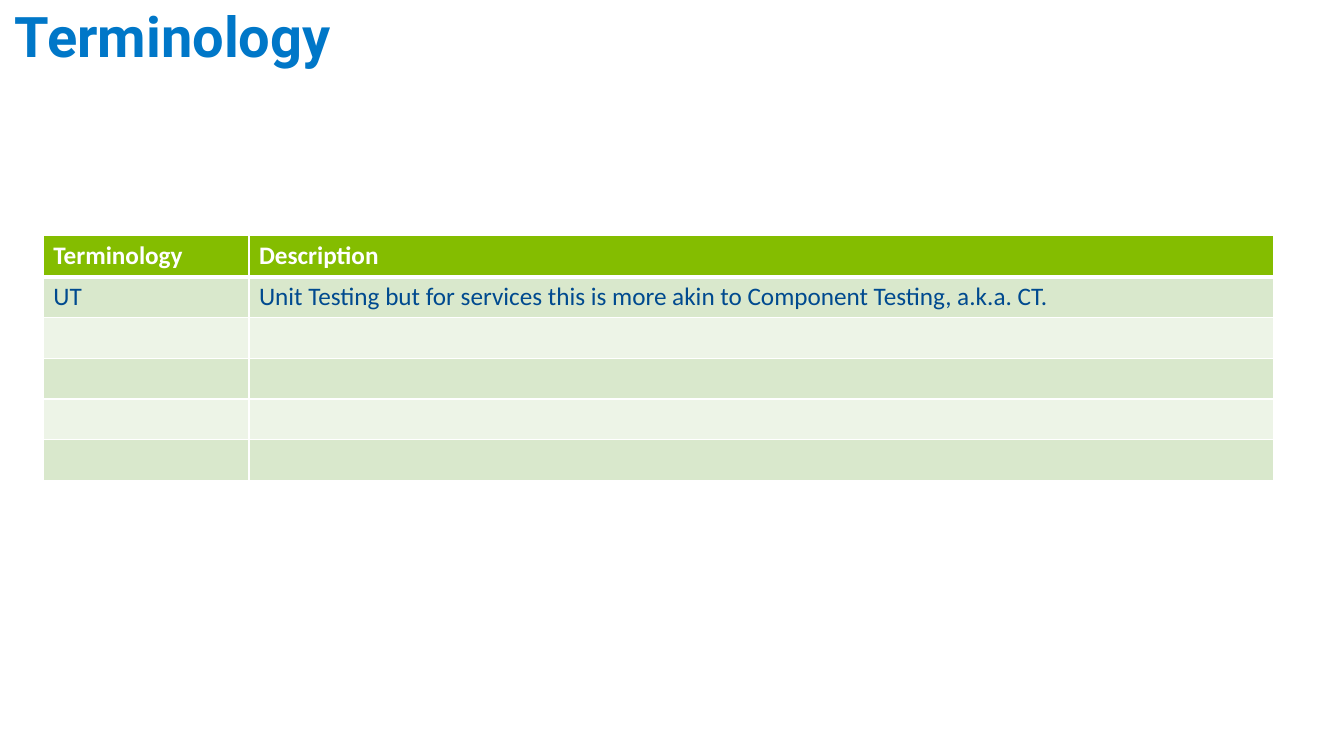
"""Build the Terminology slide with its heading and glossary table."""
import pptx
import pptx.dml.color
import pptx.enum.text
import pptx.oxml
import pptx.oxml.ns
import pptx.util

Inches = pptx.util.Inches
RGBColor = pptx.dml.color.RGBColor

WHITE = RGBColor(0xFF, 0xFF, 0xFF)
BLUE = RGBColor(0x00, 0x77, 0xC8)
NAVY = RGBColor(0x00, 0x4A, 0x8F)
GREEN = RGBColor(0x84, 0xBD, 0x00)
BANDS = [RGBColor(0xED, 0xF4, 0xE7), RGBColor(0xD9, 0xE8, 0xCC)]

HEADING_FONT = {"name": "Roboto", "size": pptx.util.Pt(40), "bold": True}
HEADER_FONT = {"name": "Calibri", "size": pptx.util.Pt(18), "bold": True}
ENTRY_FONT = {"name": "Calibri", "size": pptx.util.Pt(18), "bold": False}


def style_text(paragraph, font_values, color):
    for attribute, value in font_values.items():
        setattr(paragraph.font, attribute, value)
    paragraph.font.color.rgb = color


def add_border(cell, side, width):
    cell._tc.get_or_add_tcPr().append(pptx.oxml.parse_xml(
        f'<a:{side} {pptx.oxml.ns.nsdecls("a")} w="{pptx.util.Pt(width)}">'
        f'<a:solidFill><a:srgbClr val="{WHITE}"/></a:solidFill></a:{side}>'))


presentation = pptx.Presentation()
presentation.slide_width = Inches(13.33)
presentation.slide_height = Inches(7.5)
slide = presentation.slides.add_slide(presentation.slide_layouts[6])

heading = slide.shapes.add_textbox(Inches(0.05), Inches(-0.03), Inches(6.85), Inches(0.77))
heading.text_frame.word_wrap = True
heading.text_frame.auto_size = pptx.enum.text.MSO_AUTO_SIZE.SHAPE_TO_FIT_TEXT
heading.text_frame.text = "Terminology"
style_text(heading.text_frame.paragraphs[0], HEADING_FONT, BLUE)

entries = [
    ("Terminology", "Description"),
    ("UT", "Unit Testing but for services this is more akin to Component Testing, a.k.a. CT."),
] + [("", "")] * 4
glossary = slide.shapes.add_table(
    len(entries), 2, Inches(0.43), Inches(2.34), Inches(12.2), Inches(2.43)).table
for column, width in zip(glossary.columns, (2.04, 10.16)):
    column.width = Inches(width)

for row, entry in enumerate(entries):
    for column, wording in enumerate(entry):
        cell = glossary.cell(row, column)
        cell.text = wording
        is_header = row == 0
        style_text(cell.text_frame.paragraphs[0],
                   HEADER_FONT if is_header else ENTRY_FONT,
                   WHITE if is_header else NAVY)
        for side in ("lnL", "lnR", "lnT", "lnB"):
            meets_header = (row, side) in ((0, "lnB"), (1, "lnT"))
            add_border(cell, side, 3 if meets_header else 1)
        cell.fill.solid()
        cell.fill.fore_color.rgb = GREEN if is_header else BANDS[row % 2]

presentation.save("out.pptx")
